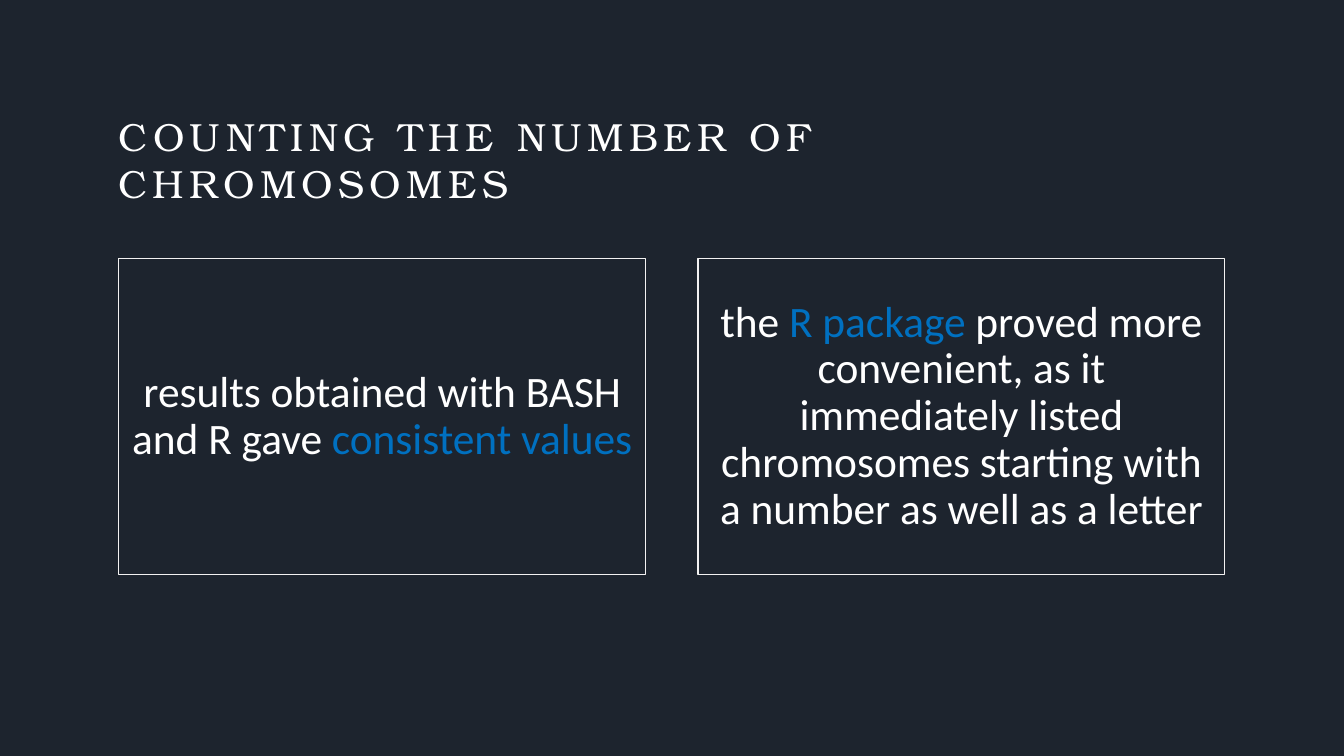
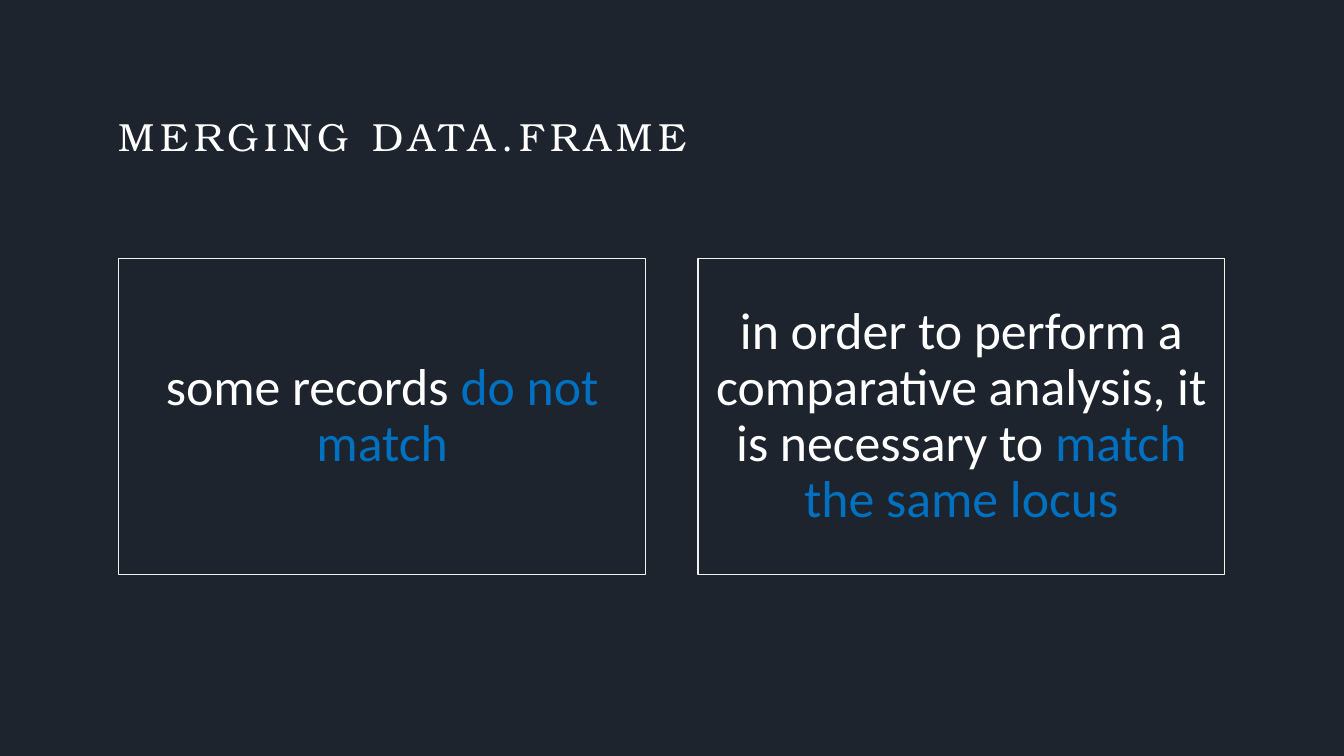
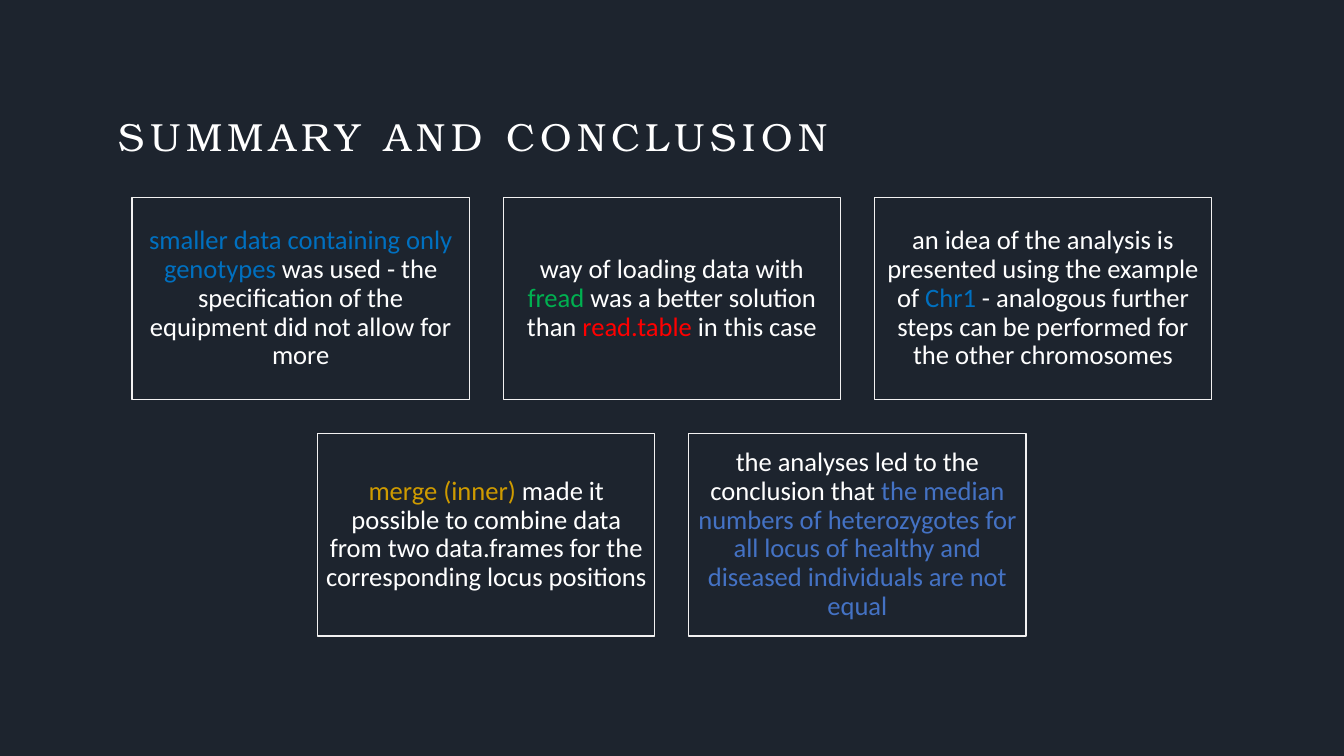
import collections
import dataclasses

import pptx
import pptx.dml.color
import pptx.enum.shapes
import pptx.enum.text
import pptx.util

Box = collections.namedtuple("Box", "left top width height")


@dataclasses.dataclass(frozen=True)
class Theme:
    night: str = "1D242E"
    frame: str = "F2F1F1"
    white: str = "FFFFFF"
    blue: str = "0070C0"
    indigo: str = "4472C4"
    green: str = "00B050"
    red: str = "FF0000"
    gold: str = "CF9B00"
    title_font: str = "TeX Gyre Bonum"
    body_font: str = "Calibri"
    title_size: int = 28
    title_tracking: int = 4
    frame_width: float = 0.85
    card_ratio: float = 0.6    # height to width
    card_gap: float = 0.1      # share of the card width
    card_inset: float = 0.3    # share of the type size
    card_leading: float = 0.9


THEME = Theme()
SLIDE_WIDTH = pptx.util.Inches(13.33)
SLIDE_HEIGHT = pptx.util.Inches(7.5)
CENTER = pptx.enum.text.PP_ALIGN.CENTER
MIDDLE = pptx.enum.text.MSO_ANCHOR.MIDDLE


def share_box(left, top, width, height):
    """Box from percentages of the slide's width and height."""
    return Box(SLIDE_WIDTH * left / 100, SLIDE_HEIGHT * top / 100,
               SLIDE_WIDTH * width / 100, SLIDE_HEIGHT * height / 100)


TITLE_BOX = share_box(8.85, 14.8, 82.27, 9.6)
BODY_BOX = share_box(8.85, 26.13, 82.27, 58)

# Each slide: title, type size, rows of cards; a card is a list of runs,
# and a run is plain text or a (text, colour) pair.
SLIDES = [
    ("COUNTING THE NUMBER OF CHROMOSOMES", 31, [[
        ["results obtained with BASH and R gave ",
         ("consistent values", THEME.blue)],
        ["the ", ("R package ", THEME.blue),
         "proved more convenient, as it immediately listed chromosomes "
         "starting with a number as well as a letter"],
    ]]),
    ("MERGING DATA.FRAME", 37, [[
        ["some records ", ("do not match", THEME.blue)],
        ["in order to perform a comparative analysis, it is necessary to ",
         ("match the same locus", THEME.blue)],
    ]]),
    ("SUMMARY AND CONCLUSION", 19, [
        [
            [("smaller data containing only genotypes ", THEME.blue),
             "was used - the specification of the equipment did not allow "
             "for more"],
            ["way of loading data with ", ("fread", THEME.green),
             " was a better solution than ", ("read.table ", THEME.red),
             "in this case"],
            ["an idea of the analysis is presented using the example of ",
             ("Chr1 ", THEME.blue),
             "- analogous further steps can be performed for the other "
             "chromosomes"],
        ],
        [
            [("merge (inner) ", THEME.gold),
             "made it possible to combine data from two data.frames for the "
             "corresponding locus positions"],
            ["the analyses led to the conclusion that ",
             ("the median numbers of heterozygotes for all locus of healthy "
              "and diseased individuals are not equal", THEME.indigo)],
        ],
    ]),
]


def rgb(colour):
    return pptx.dml.color.RGBColor.from_string(colour)


def emu_box(box):
    return [pptx.util.Emu(round(length)) for length in box]


def write_text(shape, runs, *, font, size, inset=0, align=None,
               anchor=pptx.enum.text.MSO_ANCHOR.TOP, leading=None,
               tracking=None):
    """Fill a shape with one paragraph of plain or coloured runs."""
    frame = shape.text_frame
    frame.word_wrap = True
    frame.vertical_anchor = anchor
    frame.margin_left = frame.margin_right = pptx.util.Pt(inset)
    frame.margin_top = frame.margin_bottom = pptx.util.Pt(inset)
    paragraph = frame.paragraphs[0]
    paragraph.alignment = align
    paragraph.line_spacing = leading
    for part in runs:
        words, colour = (part, THEME.white) if isinstance(part, str) else part
        run = paragraph.add_run()
        run.text = words
        run.font.name = font
        run.font.size = pptx.util.Pt(size)
        run.font.color.rgb = rgb(colour)
        if tracking is not None:
            run.font._element.set("spc", str(tracking * 100))


def add_title(slide, box, title):
    heading = slide.shapes.add_textbox(*emu_box(box))
    write_text(heading, [title], font=THEME.title_font, size=THEME.title_size,
               tracking=THEME.title_tracking)


def add_card(slide, box, runs, size):
    card = slide.shapes.add_shape(
        pptx.enum.shapes.MSO_SHAPE.RECTANGLE, *emu_box(box))
    card.shadow.inherit = False
    card.fill.solid()
    card.fill.fore_color.rgb = rgb(THEME.night)
    card.line.color.rgb = rgb(THEME.frame)
    card.line.width = pptx.util.Pt(THEME.frame_width)
    write_text(card, runs, font=THEME.body_font, size=size,
               inset=size * THEME.card_inset, align=CENTER, anchor=MIDDLE,
               leading=THEME.card_leading)


def add_card_rows(slide, box, rows, size):
    """Centre rows of equal cards in the box, as large as they fit."""
    def span(count, length):
        return count * length + (count - 1) * THEME.card_gap

    columns = max(len(row) for row in rows)
    width = min(box.width / span(columns, 1),
                box.height / span(len(rows), THEME.card_ratio))
    height = width * THEME.card_ratio
    gap = width * THEME.card_gap
    first_top = box.top + (box.height
                           - width * span(len(rows), THEME.card_ratio)) / 2
    for row_index, row in enumerate(rows):
        first_left = box.left + (box.width - width * span(len(row), 1)) / 2
        top = first_top + row_index * (height + gap)
        for column, runs in enumerate(row):
            left = first_left + column * (width + gap)
            add_card(slide, Box(left, top, width, height), runs, size)


def main():
    deck = pptx.Presentation()
    deck.slide_width, deck.slide_height = SLIDE_WIDTH, SLIDE_HEIGHT
    backdrop = deck.slide_master.background.fill
    backdrop.solid()
    backdrop.fore_color.rgb = rgb(THEME.night)
    blank = deck.slide_layouts[6]
    for title, size, rows in SLIDES:
        slide = deck.slides.add_slide(blank)
        add_title(slide, TITLE_BOX, title)
        add_card_rows(slide, BODY_BOX, rows, size)
    deck.save("out.pptx")


if __name__ == "__main__":
    main()
